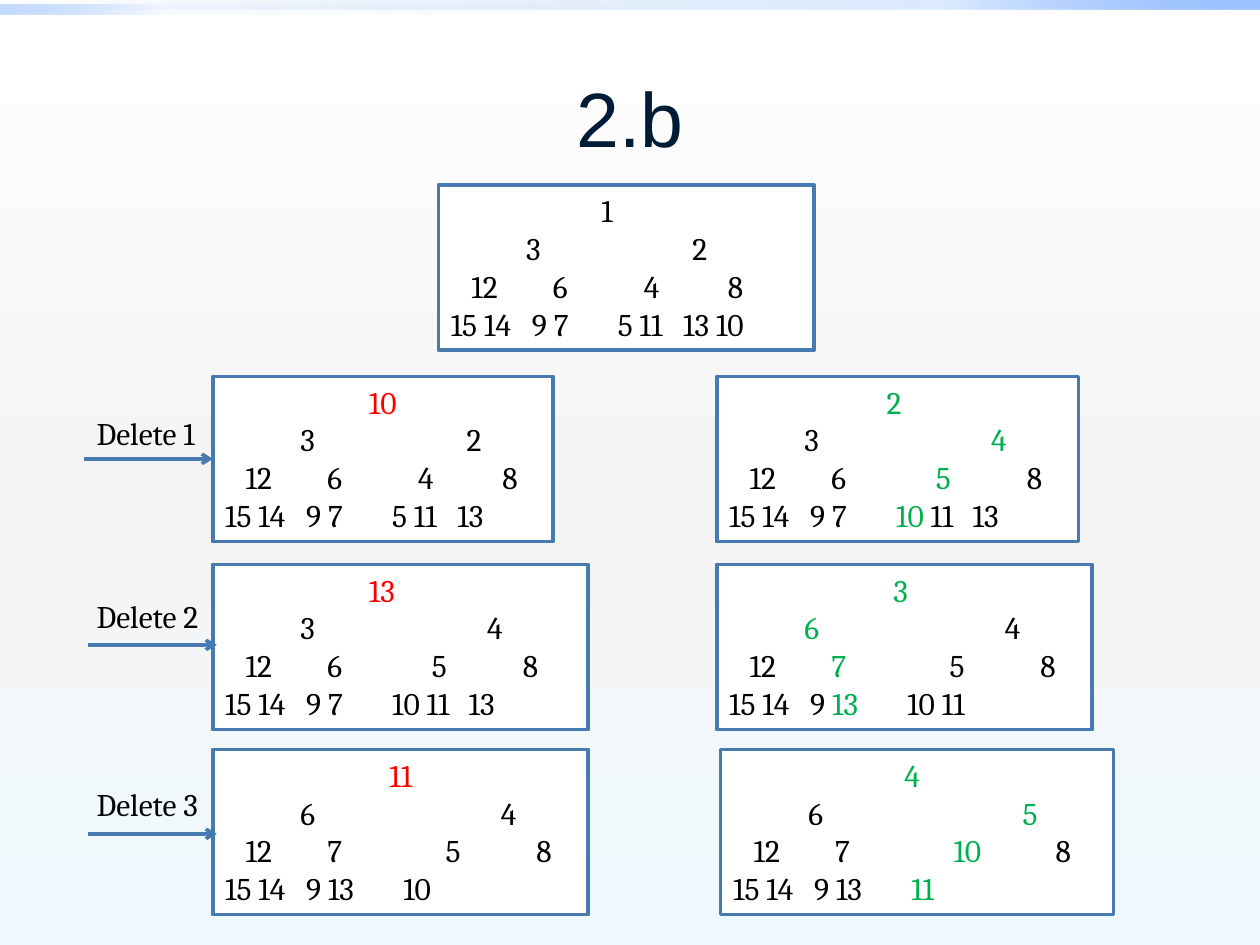
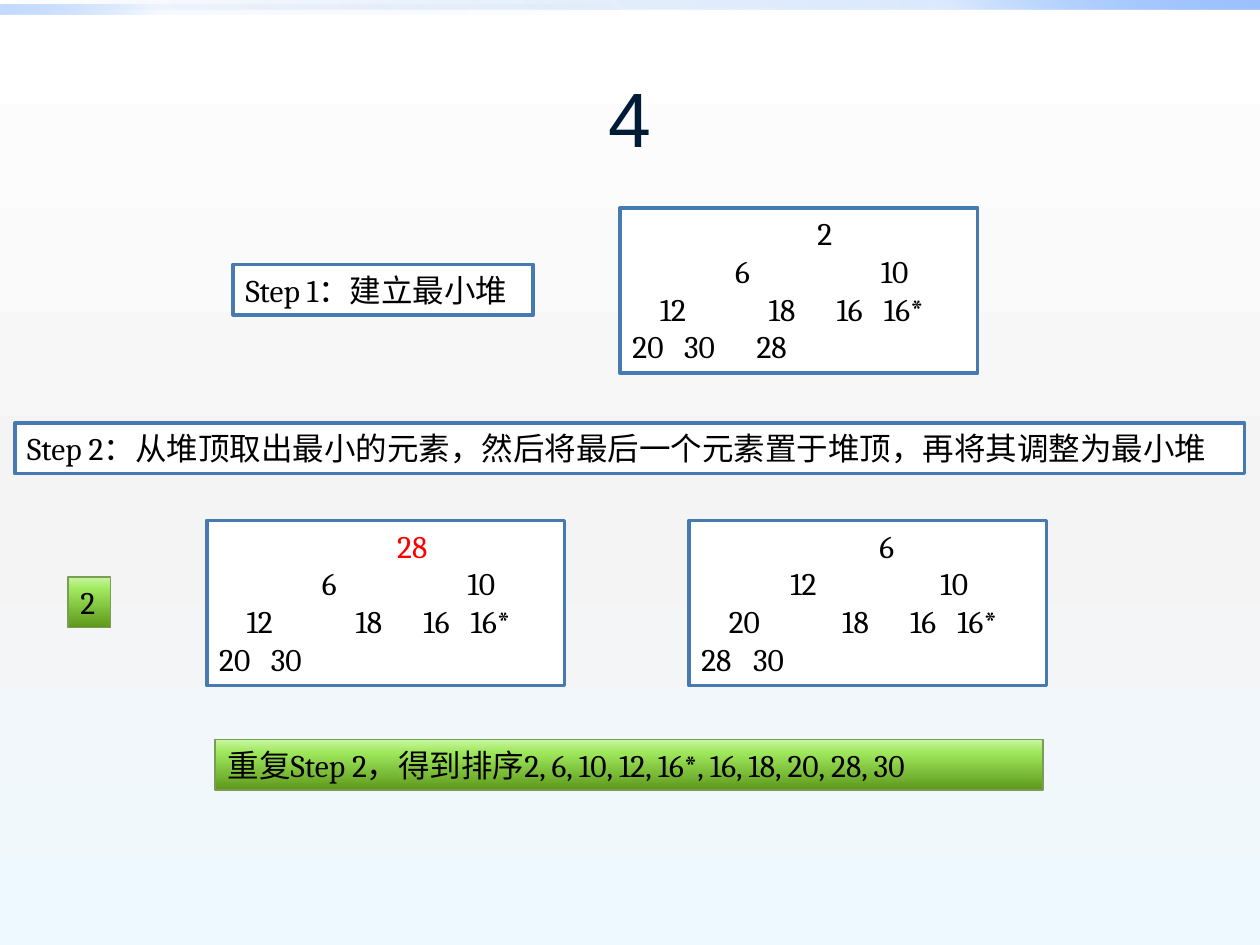
from dataclasses import dataclass

from pptx import Presentation
from pptx.dml.color import RGBColor
from pptx.enum.shapes import MSO_CONNECTOR, MSO_SHAPE
from pptx.enum.text import MSO_ANCHOR, PP_ALIGN
from pptx.oxml.ns import qn
from pptx.util import Cm, Pt
from lxml.etree import SubElement


# Colours, fonts and sizes; gradient stops are (position %, colour, opacity %)
@dataclass(frozen=True)
class Theme:
    title: str = "001B36"
    text: str = "000000"
    moved: str = "FF0000"
    sifted: str = "00B050"
    box: str = "FFFFFF"
    line: str = "477AB1"
    green_line: str = "7B9B57"
    title_font: str = "Arial"
    body_font: str = "Cambria"
    title_size: int = 44
    body_size: int = 18
    background: tuple = ((0, "FFFFFF", 100), (55, "F4F4F4", 100), (100, "EEF9FF", 100))
    top_band: tuple = ((0, "0058B7", 0), (75, "4F95FF", 20), (100, "9EC2FF", 100))
    left_band: tuple = ((0, "0058B7", 0), (75, "4F95FF", 5), (100, "9EC2FF", 60))
    green: tuple = ((0, "5D981B", 100), (75, "9FE85C", 100), (100, "C8F7A1", 100))


T = Theme()
LINE_H, TREE_H = 1.02, 3.33
# Widths in cm at body size, used to place the nodes of a heap
SPACE_W, DIGIT_W, ONE_W = 0.138, 0.315, 0.225
MARKS = {"!": T.moved, "+": T.sifted}


def rgb(value):
    return RGBColor.from_string(value)


def set_gradient(fill, element, stops, angle):
    """Fill with any number of stops; angle is clockwise in degrees."""
    fill.gradient()
    grad = next(element.iter(qn("a:gradFill")))
    gs_list = grad.find(qn("a:gsLst"))
    for gs in list(gs_list):
        gs_list.remove(gs)
    for pos, colour, opacity in stops:
        gs = SubElement(gs_list, qn("a:gs"), pos=str(pos * 1000))
        clr = SubElement(gs, qn("a:srgbClr"), val=colour)
        if opacity < 100:
            SubElement(clr, qn("a:alpha"), val=str(opacity * 1000))
    grad.find(qn("a:lin")).set("ang", str(angle * 60000))


def add_text(p, text, size=T.body_size, font=T.body_font, color=T.text, align=None):
    r = p.add_run()
    r.text = text
    r.font.size, r.font.name = Pt(size), font
    r.font.color.rgb = rgb(color)
    if align is not None:
        p.alignment = align
    return r


def add_rect(s, x, y, w, h, gradient=None, angle=0, line=None, line_width=2):
    sp = s.shapes.add_shape(MSO_SHAPE.RECTANGLE, Cm(x), Cm(y), Cm(w), Cm(h))
    sp.shadow.inherit = False
    if gradient:
        set_gradient(sp.fill, sp.element, gradient, angle)
    else:
        sp.fill.solid()
        sp.fill.fore_color.rgb = rgb(T.box)
    if line:
        sp.line.color.rgb = rgb(line)
        sp.line.width = Pt(line_width)
    else:
        sp.line.fill.background()
    tf = sp.text_frame
    tf.word_wrap = True
    tf.vertical_anchor = MSO_ANCHOR.TOP
    return sp


def add_note(s, text, x, y, w, green=False, wrap=True):
    """One framed line of text, white or green."""
    if green:
        sp = add_rect(s, x, y, w, LINE_H, T.green, 270, T.green_line, 1)
    else:
        sp = add_rect(s, x, y, w, LINE_H, line=T.line)
    sp.text_frame.word_wrap = wrap
    add_text(sp.text_frame.paragraphs[0], text, align=PP_ALIGN.LEFT)


def add_row(p, row):
    """A level of a heap: 'gap:node' items, the gap counted in spaces.

    A node ending in ! was moved to the root, one ending in + was sifted.
    """
    p.alignment = PP_ALIGN.LEFT
    tabs, x = [], 0
    for item in row.split():
        gap, node = item.split(":")
        color = MARKS.get(node[-1], T.text)
        node = node.rstrip("!+")
        gap = int(gap)
        x += gap * SPACE_W
        if gap > 1:
            tabs.append(x)
        lead = "\t" if gap > 1 else " " * gap
        add_text(p, lead + node, color=color)
        x += sum(ONE_W if c == "1" else DIGIT_W for c in node)
    if tabs:
        tab_list = SubElement(p._p.get_or_add_pPr(), qn("a:tabLst"))
        for pos in tabs:
            SubElement(tab_list, qn("a:tab"), pos=str(int(Cm(pos))), algn="l")


def add_heap(s, x, y, w, rows):
    tf = add_rect(s, x, y, w, TREE_H, line=T.line).text_frame
    for i, row in enumerate(rows):
        add_row(tf.add_paragraph() if i else tf.paragraphs[0], row)


def add_delete_arrow(s, number, x, y, label_y):
    cn = s.shapes.add_connector(MSO_CONNECTOR.STRAIGHT, Cm(x), Cm(y), Cm(x + 2.59), Cm(y))
    cn.line.color.rgb = rgb(T.line)
    cn.line.width = Pt(2)
    SubElement(cn.line._get_or_add_ln(), qn("a:tailEnd"), type="arrow")
    SubElement(cn.element.spPr, qn("a:effectLst"))
    tb = s.shapes.add_textbox(Cm(1.7), Cm(label_y), Cm(2.77), Cm(LINE_H))
    tb.text_frame.word_wrap = True
    add_text(tb.text_frame.paragraphs[0], f"Delete {number}")


def add_slide(prs, layout, title):
    s = prs.slides.add_slide(layout)
    sp = s.shapes.title
    sp.left, sp.top, sp.width, sp.height = Cm(1.27), Cm(0.76), Cm(22.86), Cm(3.18)
    sp.text_frame.vertical_anchor = MSO_ANCHOR.MIDDLE
    add_text(sp.text_frame.paragraphs[0], title, size=T.title_size,
             font=T.title_font, color=T.title, align=PP_ALIGN.CENTER)
    return s


def style_template(prs, layout, s):
    """Background on the master, top bands on the layout."""
    master = prs.slide_master
    set_gradient(master.background.fill, master.element, T.background, 90)
    bands = (add_rect(s, 0, 0, 25.4, 0.2, T.top_band, 315),
             add_rect(s, 0, 0.1, 12.7, 0.2, T.left_band, 135))
    for i, band in enumerate(bands):
        layout.shapes.element.insert(2 + i, band.element)


def fill_deletions(s):
    add_heap(s, 8.84, 3.73, 7.57, (
        "22:1", "11:3 22:2", "3:12 8:6 11:4 10:8",
        "0:15 1:14 3:9 1:7 7:5 1:11 3:13 1:10"))

    # Each deletion: last node moved to the root, then sifted down
    left, right = 4.29, 14.45
    add_heap(s, left, 7.59, 6.86, (
        "21:10!", "11:3 22:2", "3:12 8:6 11:4 10:8",
        "0:15 1:14 3:9 1:7 7:5 1:11 3:13"))
    add_heap(s, right, 7.59, 7.29, (
        "23:2+", "11:3 25:4+", "3:12 8:6 13:5+ 11:8",
        "0:15 1:14 3:9 1:7 7:10+ 1:11 3:13"))
    add_heap(s, left, 11.38, 7.57, (
        "21:13!", "11:3 25:4", "3:12 8:6 13:5 11:8",
        "0:15 1:14 3:9 1:7 7:10 1:11 3:13"))
    add_heap(s, right, 11.38, 7.57, (
        "24:3+", "11:6+ 27:4", "3:12 8:7+ 15:5 11:8",
        "0:15 1:14 3:9 1:13+ 7:10 1:11"))
    add_heap(s, left, 15.11, 7.57, (
        "24:11!", "11:6 27:4", "3:12 8:7 15:5 11:8",
        "0:15 1:14 3:9 1:13 7:10"))
    add_heap(s, 14.53, 15.11, 7.92, (
        "25:4+", "11:6 29:5+", "3:12 8:7 15:10+ 11:8",
        "0:15 1:14 3:9 1:13 7:11+"))

    arrows = ((1.7, 9.25, 8.23), (1.78, 13, 11.91), (1.78, 16.81, 15.7))
    for number, (x, y, label_y) in enumerate(arrows, 1):
        add_delete_arrow(s, number, x, y, label_y)


def fill_heap_sort(s):
    width = 7.21
    # Build the heap
    add_heap(s, 12.5, 4.19, width, (
        "27:2", "15:6 19:10", "4:12 12:18 6:16 3:16*", "0:20 3:30 6:28"))
    add_note(s, "Step 1：建立最小堆", 4.7, 5.33, 6.05)

    # Take out the smallest element
    add_note(s, "Step 2：从堆顶取出最小的元素，然后将最后一个元素置于堆顶，再将其调整为最小堆",
             0.3, 8.53, 24.79)
    add_heap(s, 4.17, 10.49, width, (
        "26:28!", "15:6 19:10", "4:12 12:18 6:16 3:16*", "0:20 3:30"))
    add_note(s, "2", 1.37, 11.63, 0.86, green=True, wrap=False)
    add_heap(s, 13.89, 10.49, width, (
        "26:6", "13:12 18:10", "4:20 12:18 6:16 3:16*", "0:28 3:30"))

    # Result
    add_note(s, "重复Step 2，得到排序2, 6, 10, 12, 16*, 16, 18, 20, 28, 30",
             4.34, 14.91, 16.69, green=True)


def main():
    prs = Presentation()
    prs.slide_width, prs.slide_height = Cm(25.4), Cm(19.05)
    layout = prs.slide_layouts.get_by_name("Title Only")
    s = add_slide(prs, layout, "2.b")
    style_template(prs, layout, s)
    fill_deletions(s)
    fill_heap_sort(add_slide(prs, layout, "4"))
    prs.save("out.pptx")


main()
